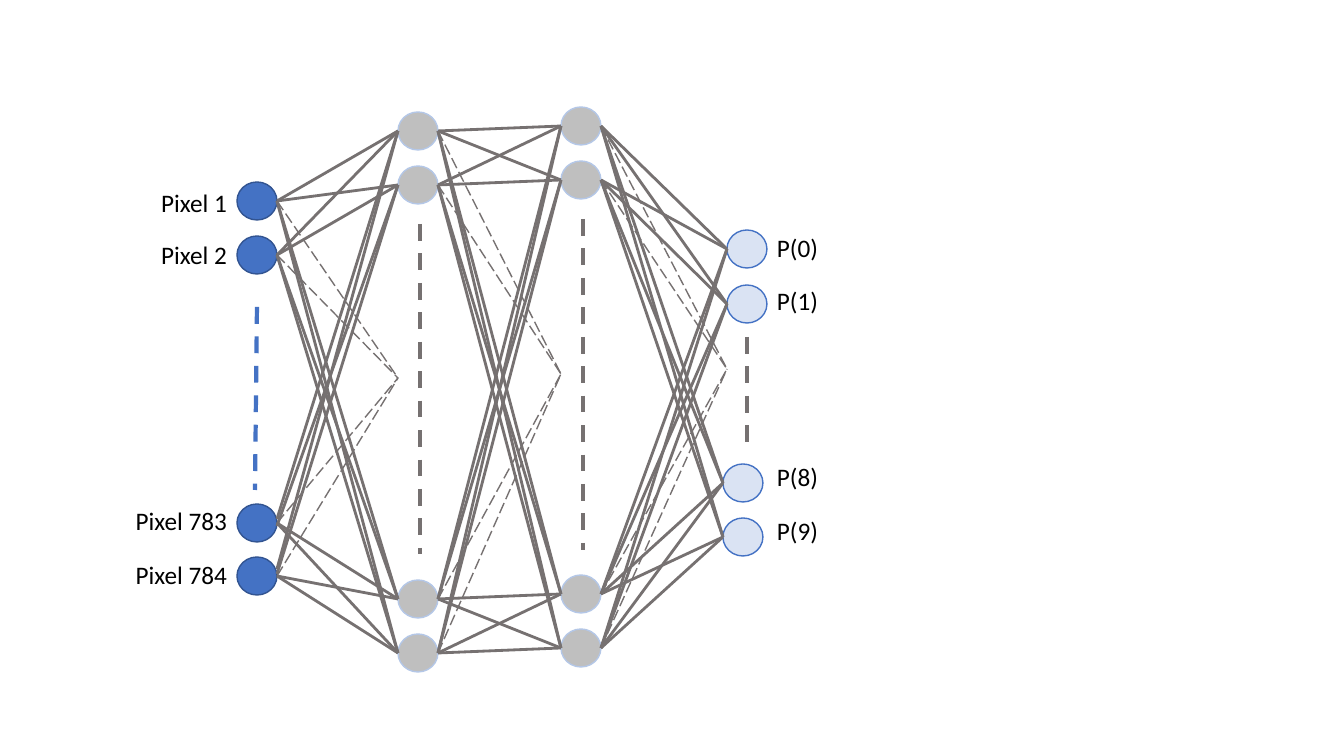
from dataclasses import dataclass

from lxml import etree
from pptx import Presentation
from pptx.dml.color import RGBColor
from pptx.enum.dml import MSO_LINE
from pptx.enum.shapes import MSO_CONNECTOR, MSO_SHAPE
from pptx.enum.text import MSO_AUTO_SIZE, PP_ALIGN
from pptx.oxml.ns import qn
from pptx.util import Emu, Pt

STRAIGHT = MSO_CONNECTOR.STRAIGHT
ELLIPSE = MSO_SHAPE.OVAL
DASH = MSO_LINE.DASH
LONG_DASH = MSO_LINE.LONG_DASH
FIT_SHAPE = MSO_AUTO_SIZE.SHAPE_TO_FIT_TEXT
LEFT, RIGHT = PP_ALIGN.LEFT, PP_ALIGN.RIGHT

BLUE = RGBColor(0x44, 0x72, 0xC4)
DARK_BLUE = RGBColor(0x32, 0x54, 0x91)
SOFT_BLUE = RGBColor(0xB4, 0xC7, 0xE7)
PALE_BLUE = RGBColor(0xDA, 0xE3, 0xF3)
SILVER = RGBColor(0xBF, 0xBF, 0xBF)
GRAY = RGBColor(0x76, 0x71, 0x71)
BLACK = RGBColor(0, 0, 0)

SLIDE_WIDTH, SLIDE_HEIGHT = 1344, 756
EMU_PER_PX = 12192000 / SLIDE_WIDTH
NODE_WIDTH, NODE_HEIGHT = 40, 38
LABEL_HEIGHT = 40


@dataclass
class Layer:
    """A column of nodes; every offset is measured from its left and top."""
    left: int
    top: int
    nodes: tuple  # (x, y) offset of each node
    fill: RGBColor
    outline: RGBColor
    gap: tuple  # x, y at both ends of the dashed line
    gap_color: RGBColor
    middle: int = 0  # y offset where links to the omitted nodes meet
    labels: tuple = ()  # (text, y offset, width)
    align: PP_ALIGN = LEFT


HIDDEN_NODES = ((0, 0), (0, 54), (0, 468), (0, 522))
INPUT = Layer(
    237, 182, ((0, 0), (0, 54), (0, 322), (0, 375)), BLUE, DARK_BLUE,
    (20, 125, 18, 308), BLUE, align=RIGHT,
    labels=(("Pixel 1", 0, 87), ("Pixel 2", 52, 87),
            ("Pixel 783", 318, 113), ("Pixel 784", 372, 113)))
FIRST_HIDDEN = Layer(398, 112, HIDDEN_NODES, SILVER, SOFT_BLUE,
                     (22, 112, 22, 442), GRAY, middle=266)
SECOND_HIDDEN = Layer(561, 107, HIDDEN_NODES, SILVER, SOFT_BLUE,
                      (22, 112, 22, 443), GRAY, middle=267)
OUTPUT = Layer(
    727, 230, ((0, 0), (0, 55), (-4, 234), (-4, 288)), PALE_BLUE, BLUE,
    (20, 107, 20, 218), GRAY, middle=139,
    labels=(("P(0)", -3, 61), ("P(1)", 50, 61),
            ("P(8)", 226, 61), ("P(9)", 280, 61)))
LAYERS = (INPUT, FIRST_HIDDEN, SECOND_HIDDEN, OUTPUT)

# Vertical shift of the start of some input links: (source, target) -> px
INPUT_SHIFTS = {(2, 0): -4, (2, 1): 3, (3, 0): -7, (3, 1): -2}


def px(length):
    return Emu(round(length * EMU_PER_PX))


def add_text(slide, text, left, top, width, height, *, align=LEFT,
             size=18, font="Calibri", color=BLACK):
    box = slide.shapes.add_textbox(px(left), px(top), px(width), px(height))
    frame = box.text_frame
    frame.word_wrap = False
    frame.auto_size = FIT_SHAPE
    paragraph = frame.paragraphs[0]
    paragraph.alignment = align
    run = paragraph.add_run()
    run.text = text
    run.font.size = Pt(size)
    run.font.name = font
    run.font.color.rgb = color


def add_line(slide, start, end, *, color=GRAY, width=0, dash=None):
    connector = slide.shapes.add_connector(
        STRAIGHT, *(px(length) for length in (*start, *end)))
    connector.line.color.rgb = color
    connector.line.width = Pt(width)
    if dash:
        connector.line.dash_style = dash
    # An empty effect list removes the theme shadow
    etree.SubElement(connector._element.spPr, qn("a:effectLst"))


def draw_layer(slide, layer):
    # Nodes
    for x, y in layer.nodes:
        node = slide.shapes.add_shape(
            ELLIPSE, px(layer.left + x), px(layer.top + y),
            px(NODE_WIDTH), px(NODE_HEIGHT))
        node.shadow.inherit = False
        node.fill.solid()
        node.fill.fore_color.rgb = layer.fill
        node.line.color.rgb = layer.outline
        node.line.width = Pt(1)

    # Dashed line standing for the omitted nodes
    x1, y1, x2, y2 = layer.gap
    add_line(slide, (layer.left + x1, layer.top + y1),
             (layer.left + x2, layer.top + y2),
             color=layer.gap_color, width=3, dash=DASH)

    # Labels on the outer side
    for text, y, width in layer.labels:
        offset = -width if layer.align == RIGHT else NODE_WIDTH
        add_text(slide, text, layer.left + offset, layer.top + y,
                 width, LABEL_HEIGHT, align=layer.align)


def link_layers(slide, source, target, shifts):
    half = NODE_HEIGHT // 2
    middle = (target.left, target.top + target.middle)
    for i, (x, y) in enumerate(source.nodes):
        start_x = source.left + x + NODE_WIDTH
        start_y = source.top + y + half
        for j, (end_x, end_y) in enumerate(target.nodes):
            add_line(slide, (start_x, start_y + shifts.get((i, j), 0)),
                     (target.left + end_x, target.top + end_y + half))
        add_line(slide, (start_x, start_y), middle, width=1, dash=LONG_DASH)


def main():
    presentation = Presentation()
    presentation.slide_width = px(SLIDE_WIDTH)
    presentation.slide_height = px(SLIDE_HEIGHT)
    slide = presentation.slides.add_slide(presentation.slide_layouts[6])
    for layer in LAYERS:
        draw_layer(slide, layer)
    for source, target in zip(LAYERS, LAYERS[1:]):
        link_layers(slide, source, target,
                    INPUT_SHIFTS if source is INPUT else {})
    presentation.save("out.pptx")


if __name__ == "__main__":
    main()
